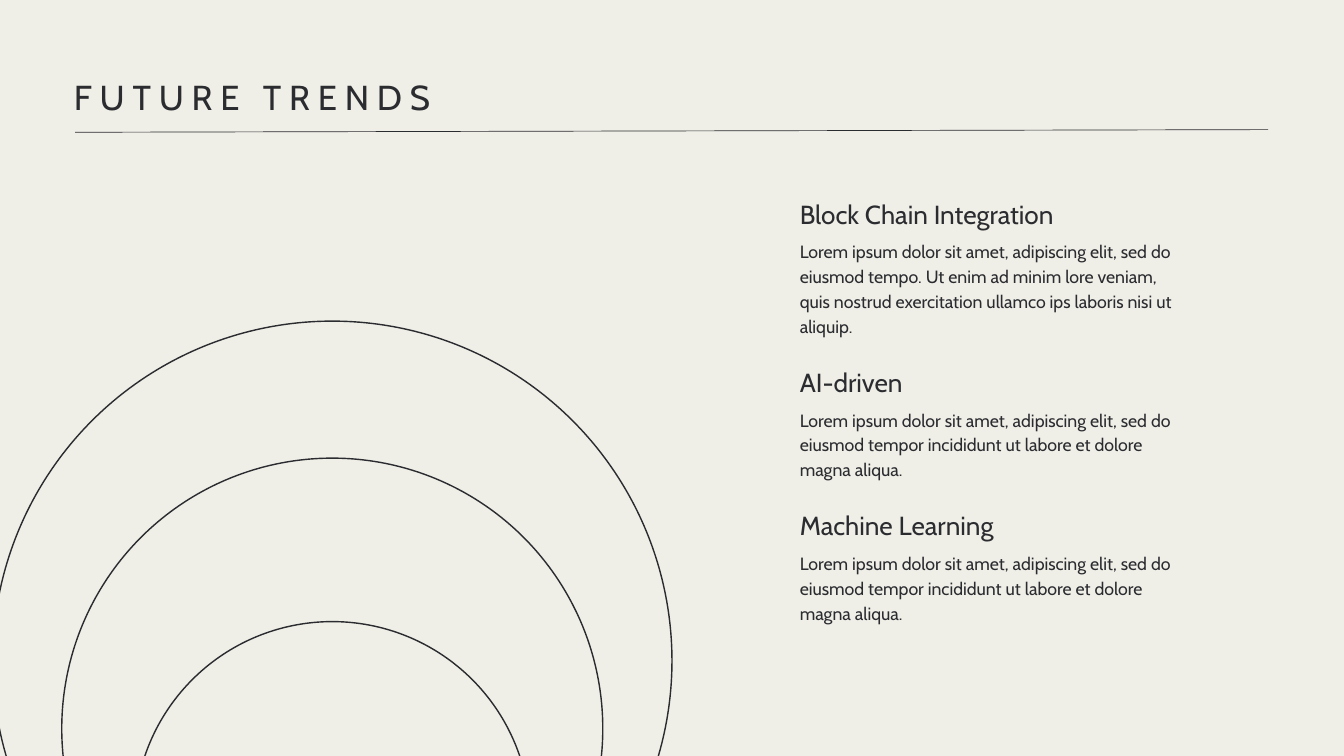
from pptx import Presentation
from pptx.dml.color import RGBColor
from pptx.enum.shapes import MSO_CONNECTOR, MSO_SHAPE
from pptx.enum.text import MSO_ANCHOR, MSO_AUTO_SIZE, PP_ALIGN
from pptx.oxml.ns import qn
from pptx.util import Cm, Pt
from lxml import etree

STRAIGHT = MSO_CONNECTOR.STRAIGHT
OVAL = MSO_SHAPE.OVAL
TOP = MSO_ANCHOR.TOP
LEFT = PP_ALIGN.LEFT
NO_AUTOFIT = MSO_AUTO_SIZE.NONE

INK = "2B2C30"
PAPER = "EFEEE7"
FONT = "Cabin"


def rgb(value):
    return RGBColor.from_string(value)


def set_text(sp, text, size, line_spacing):
    """Fill a shape with one left-aligned paragraph, without margins."""
    tf = sp.text_frame
    tf.text = text
    tf.word_wrap = True
    tf.auto_size = NO_AUTOFIT
    tf.vertical_anchor = TOP
    tf.margin_left = tf.margin_right = tf.margin_top = tf.margin_bottom = 0
    p = tf.paragraphs[0]
    p.alignment = LEFT
    p.line_spacing = Pt(line_spacing)
    p.space_before = Pt(0)
    r = p.runs[0]
    r.font.name = FONT
    r.font.size = Pt(size)
    r.font.color.rgb = rgb(INK)
    return r


prs = Presentation()
prs.slide_width, prs.slide_height = Cm(50.8), Cm(28.58)
s = prs.slides.add_slide(prs.slide_layouts[5])
s.background.fill.solid()
s.background.fill.fore_color.rgb = rgb(PAPER)

# Title and the rule below it
title = s.shapes.title
title.left, title.top, title.width, title.height = Cm(2.79), Cm(2.62), Cm(45.09), Cm(1.8)
r = set_text(title, "FUTURE TRENDS", 37.1, 52)
r.font._element.set("spc", "840")

rule = s.shapes.add_connector(STRAIGHT, Cm(2.84), Cm(5), Cm(47.93), Cm(4.9))
rule.line.color.rgb = rgb(INK)
rule.line.width = Pt(0.75)
etree.SubElement(rule._element.spPr, qn("a:effectLst"))

# Rings on one vertical axis, running off the bottom edge
axis = 12.56
for top, diameter in [(12.14, 25.68), (17.32, 20.45), (23.5, 14.96)]:
    ring = s.shapes.add_shape(OVAL, Cm(axis - diameter / 2), Cm(top), Cm(diameter), Cm(diameter))
    ring.shadow.inherit = False
    ring.fill.background()
    ring.line.color.rgb = rgb(INK)
    ring.line.width = Pt(1.5)

# Trends, each starting a fixed gap below the last line of the one before
trends = [
    ("Block Chain Integration",
     "Lorem ipsum dolor sit amet, adipiscing elit, sed do eiusmod tempo. Ut enim ad minim "
     "lore veniam, quis nostrud exercitation ullamco ips laboris nisi ut aliquip.", 4),
    ("AI-driven",
     "Lorem ipsum dolor sit amet, adipiscing elit, sed do eiusmod tempor incididunt ut "
     "labore et dolore magna aliqua.", 3),
    ("Machine Learning",
     "Lorem ipsum dolor sit amet, adipiscing elit, sed do eiusmod tempor incididunt ut "
     "labore et dolore magna aliqua.", 3),
]
left, width, top = 30.23, 14.3, 7.29
heading_step, line_height, gap = 1.69, 0.94, 0.91
for heading, body, lines in trends:
    sp = s.shapes.add_textbox(Cm(left), Cm(top), Cm(width), Cm(1.32))
    set_text(sp, heading, 28, 39.2)
    top += heading_step
    sp = s.shapes.add_textbox(Cm(left), Cm(top), Cm(width), Cm(lines * line_height))
    set_text(sp, body, 19, 26.6)
    top += lines * line_height + gap

prs.save("out.pptx")
